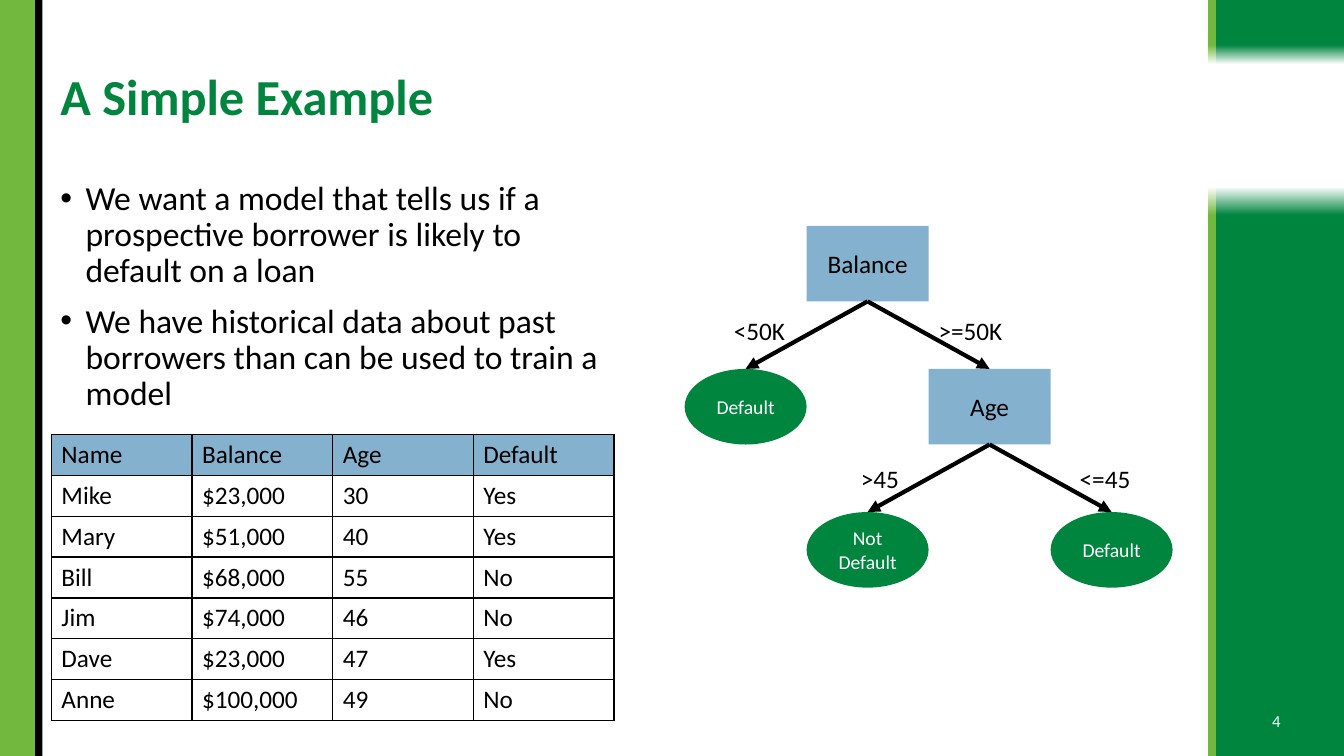
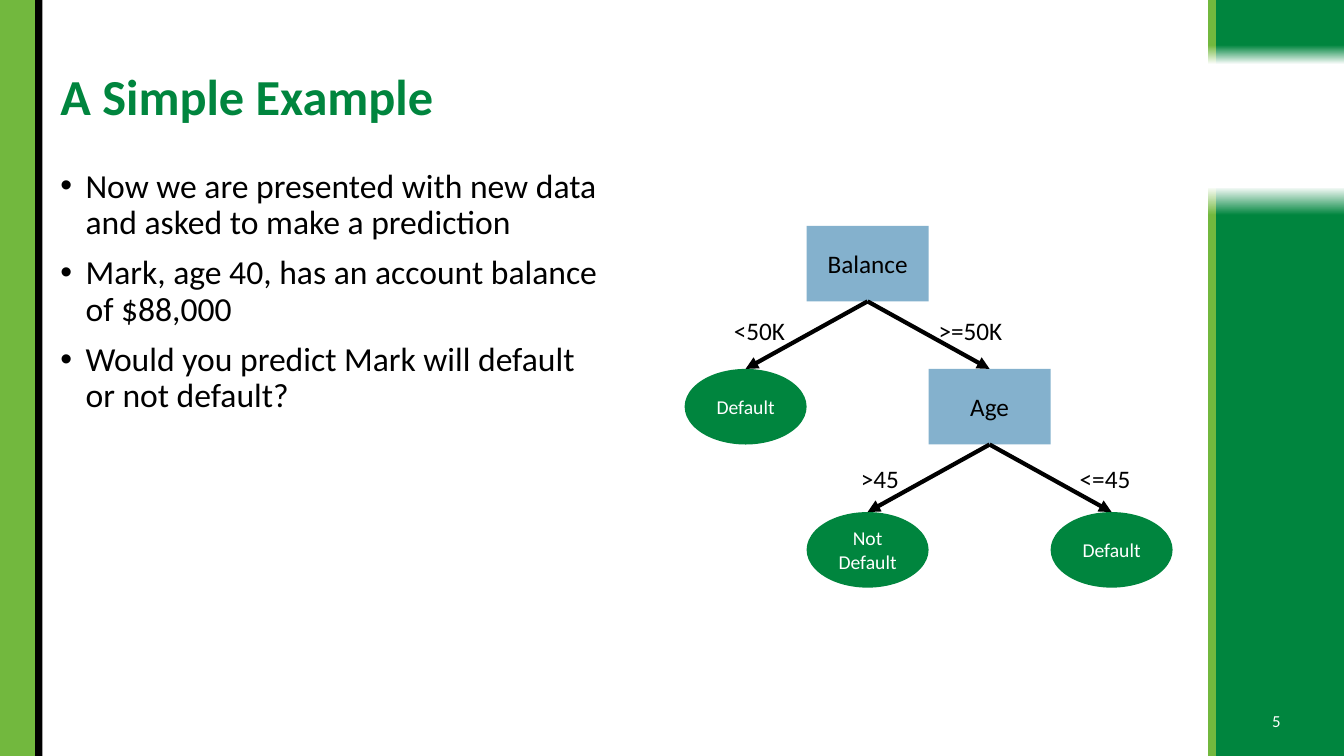
import pptx
import pptx.util
import pptx.dml.color
import pptx.enum.shapes
import pptx.enum.text
import pptx.oxml
import pptx.oxml.ns

Inches = pptx.util.Inches
Pt = pptx.util.Pt
SHAPE = pptx.enum.shapes.MSO_SHAPE
ANCHOR = pptx.enum.text.MSO_ANCHOR
ALIGN = pptx.enum.text.PP_ALIGN
FONT = "Calibri"
NAMESPACE = pptx.oxml.ns.nsdecls("a")
COLORS = {
    "green": "00853E",
    "lime": "72B83E",
    "blue": "84B1CD",
    "black": "000000",
    "white": "FFFFFF",
}


def color(name):
    return pptx.dml.color.RGBColor.from_string(COLORS[name])


def write(para, text, size, ink="black", bold=False):
    span = para.add_run()
    span.text = text
    span.font.name = FONT
    span.font.size = Pt(size)
    span.font.bold = bold
    span.font.color.rgb = color(ink)


SIDE_BANDS = [(0, 0.35, "lime"), (0.35, 0.07, "black")]
FADE_COLUMNS = [(12.06, 1.27, "green"), (11.98, 0.08, "lime")]
FADE_ROWS = [(0, 0.64, 0, 0.7), (1.85, 5.65, 180, 0.95)]

NODE_WIDTH, NODE_HEIGHT = 1.21, 0.75
TREE_LEFT, TREE_TOP, LEVEL_STEP = 6.79, 2.24, 1.42
NODES = {
    "low balance": ("Default", 0, 1, "leaf"),
    "age": ("Age", 2, 1, "question"),
    "balance": ("Balance", 1, 0, "question"),
    "older": ("Not Default", 1, 2, "leaf"),
    "younger": ("Default", 3, 2, "leaf"),
}
NODE_STYLES = {
    "leaf": (SHAPE.OVAL, "green", 14, "white"),
    "question": (SHAPE.RECTANGLE, "blue", 18, "black"),
}
BRANCHES = [
    ("balance", "low balance", "<50K", 7.18, 3.08),
    ("balance", "age", ">=50K", 9.21, 3.08),
    ("age", "older", ">45", 8.44, 4.55),
    ("age", "younger", "<=45", 10.61, 4.55),
]

BORROWERS = [
    ("Name", "Balance", "Age", "Default"),
    ("Mike", "$23,000", "30", "Yes"),
    ("Mary", "$51,000", "40", "Yes"),
    ("Bill", "$68,000", "55", "No"),
    ("Jim", "$74,000", "46", "No"),
    ("Dave", "$23,000", "47", "Yes"),
    ("Anne", "$100,000", "49", "No"),
]

SLIDES = [
    {
        "number": "4",
        "body": (1.75, 2.42),
        "bullets": [
            "We want a model that tells us if a prospective borrower is likely to default on a loan",
            "We have historical data about past borrowers than can be used to train a model",
        ],
        "table": BORROWERS,
    },
    {
        "number": "5",
        "body": (1.63, 5.13),
        "bullets": [
            "Now we are presented with new data and asked to make a prediction",
            "Mark, age 40, has an account balance of $88,000",
            "Would you predict Mark will default or not default?",
        ],
        "table": [],
    },
]

deck = pptx.Presentation()
deck.slide_width = Inches(13.33)
deck.slide_height = Inches(7.5)
layout = deck.slide_layouts[5]
pages = [deck.slides.add_slide(layout) for content in SLIDES]

bands = []
for left, width, fill in SIDE_BANDS:
    band = pages[0].shapes.add_shape(
        SHAPE.RECTANGLE, Inches(left), 0, Inches(width), deck.slide_height
    )
    band.fill.solid()
    band.fill.fore_color.rgb = color(fill)
    bands.append(band)
for left, width, fill in FADE_COLUMNS:
    for top, height, rotation, solid_until in FADE_ROWS:
        band = pages[0].shapes.add_shape(
            SHAPE.RECTANGLE, Inches(left), Inches(top), Inches(width), Inches(height)
        )
        band.rotation = rotation
        band.fill.gradient()
        band.fill.gradient_angle = 270
        for stop, position, shade in zip(
            band.fill.gradient_stops, (solid_until, 1), (fill, "white")
        ):
            stop.position = position
            stop.color.rgb = color(shade)
        bands.append(band)
for number, band in enumerate(bands, 101):
    band.line.fill.background()
    band.shadow.inherit = False
    band.element.nvSpPr.cNvPr.set("id", str(number))
    layout.shapes.element.append(band.element)

for page, content in zip(pages, SLIDES):
    title = page.shapes.title
    title.left, title.top = Inches(0.5), Inches(0.4)
    title.width, title.height = Inches(11.4), Inches(1.16)
    title.text_frame.vertical_anchor = ANCHOR.MIDDLE
    para = title.text_frame.paragraphs[0]
    para.alignment = ALIGN.LEFT
    para.line_spacing = 0.9
    write(para, "A Simple Example", 36, "green", True)

    if content["table"]:
        rows = content["table"]
        table = page.shapes.add_table(
            len(rows), len(rows[0]),
            Inches(0.51), Inches(4.31), Inches(5.58), Inches(0.4 * len(rows)),
        ).table
        table.first_row = False
        table.horz_banding = False
        for row_index, row in enumerate(rows):
            for column_index, text in enumerate(row):
                cell = table.cell(row_index, column_index)
                write(cell.text_frame.paragraphs[0], text, 18)
                if row_index == 0:
                    cell.fill.solid()
                    cell.fill.fore_color.rgb = color("blue")
                else:
                    cell.fill.background()
                properties = cell._tc.get_or_add_tcPr()
                for order, side in enumerate("LRTB"):
                    border = pptx.oxml.parse_xml(
                        f'<a:ln{side} {NAMESPACE} w="12700"><a:solidFill>'
                        f'<a:srgbClr val="{COLORS["black"]}"/></a:solidFill></a:ln{side}>'
                    )
                    properties.insert(order, border)

    top, height = content["body"]
    body = page.shapes.add_textbox(Inches(0.5), Inches(top), Inches(5.58), Inches(height))
    body.text_frame.word_wrap = True
    for index, text in enumerate(content["bullets"]):
        para = body.text_frame.add_paragraph() if index else body.text_frame.paragraphs[0]
        para.line_spacing = 0.9
        para.space_before = Pt(10)
        properties = para._p.get_or_add_pPr()
        properties.set("marL", str(Inches(0.25)))
        properties.set("indent", str(-Inches(0.25)))
        properties.append(pptx.oxml.parse_xml(f'<a:buFont {NAMESPACE} typeface="Arial"/>'))
        properties.append(pptx.oxml.parse_xml(f'<a:buChar {NAMESPACE} char="•"/>'))
        write(para, text, 24)

    box = page.shapes.add_textbox(Inches(12.4), Inches(6.95), Inches(0.52), Inches(0.4))
    box.text_frame.word_wrap = True
    box.text_frame.vertical_anchor = ANCHOR.MIDDLE
    para = box.text_frame.paragraphs[0]
    para.alignment = ALIGN.CENTER
    write(para, content["number"], 12, "white")

    nodes = {}
    for name, (text, column, level, style) in NODES.items():
        outline, fill, size, ink = NODE_STYLES[style]
        node = page.shapes.add_shape(
            outline,
            Inches(TREE_LEFT + column * NODE_WIDTH), Inches(TREE_TOP + level * LEVEL_STEP),
            Inches(NODE_WIDTH), Inches(NODE_HEIGHT),
        )
        node.shadow.inherit = False
        node.fill.solid()
        node.fill.fore_color.rgb = color(fill)
        node.line.fill.background()
        node.text_frame.word_wrap = True
        node.text_frame.vertical_anchor = ANCHOR.MIDDLE
        para = node.text_frame.paragraphs[0]
        para.alignment = ALIGN.CENTER
        write(para, text, size, ink)
        nodes[name] = node

    for parent, child, condition, left, top in BRANCHES:
        arrow = page.shapes.add_connector(
            pptx.enum.shapes.MSO_CONNECTOR.STRAIGHT, 0, 0, 0, 0
        )
        arrow.begin_connect(nodes[parent], 2)
        arrow.end_connect(nodes[child], 0)
        arrow.line.width = Pt(3)
        arrow.line.color.rgb = color("black")
        arrow.line._get_or_add_ln().append(
            pptx.oxml.parse_xml(f'<a:tailEnd {NAMESPACE} type="triangle"/>')
        )
        arrow.element.spPr.append(pptx.oxml.parse_xml(f"<a:effectLst {NAMESPACE}/>"))

        label = page.shapes.add_textbox(Inches(left), Inches(top), Inches(1.15), Inches(0.4))
        label.text_frame.word_wrap = True
        label.text_frame.auto_size = pptx.enum.text.MSO_AUTO_SIZE.SHAPE_TO_FIT_TEXT
        write(label.text_frame.paragraphs[0], condition, 18)

deck.save("out.pptx")
